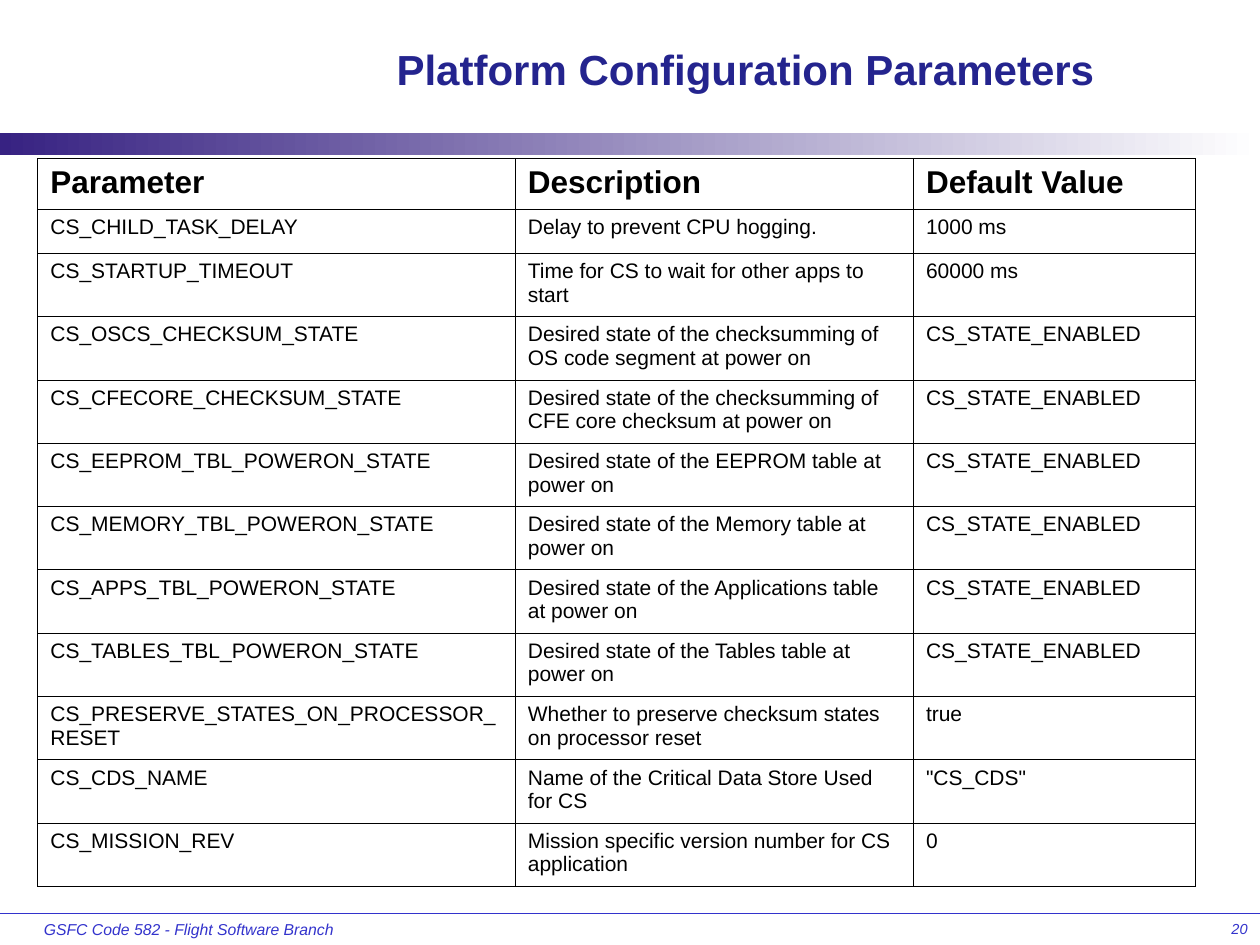
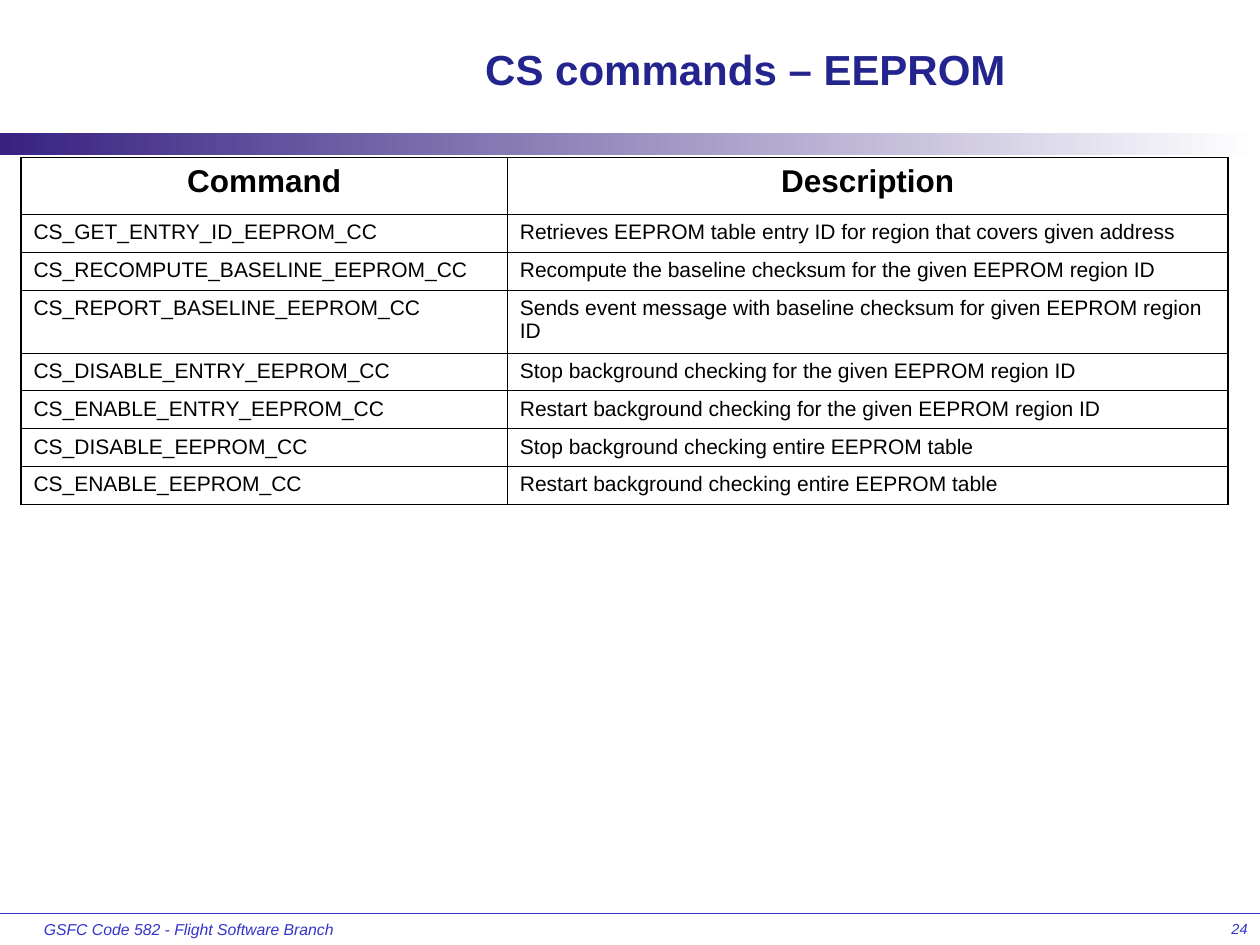
from dataclasses import dataclass

from lxml.etree import SubElement
from pptx import Presentation
from pptx.dml.color import RGBColor
from pptx.enum.shapes import MSO_CONNECTOR as Line, MSO_SHAPE as Shape
from pptx.enum.text import MSO_ANCHOR as Anchor, PP_ALIGN as Align
from pptx.oxml.ns import qn
from pptx.util import Inches, Pt

GRID = Inches(1) // 12


@dataclass(frozen=True)
class Theme:
    """Colours, font, type sizes and line widths of the deck."""
    font: str = "Arial"
    title: str = "24248E"
    accent: str = "3333CC"
    band: str = "372282"
    paper: str = "FFFFFF"
    ink: str = "000000"
    title_size: float = 24
    head_size: float = 18
    body_size: float = 12
    footer_size: float = 9
    number_size: float = 8.3
    thin: float = 0.45
    thick: float = 1.08


@dataclass(frozen=True)
class Box:
    """A region measured in columns and rows of the slide grid."""
    x: float
    y: float
    w: float
    h: float

    def sub(self, x, y, w, h):
        """Return a region placed relative to this one."""
        return Box(self.x + x, self.y + y, w, h)

    def emu(self):
        """Return left, top, width and height as lengths."""
        return [round(v * GRID) for v in (self.x, self.y, self.w, self.h)]


THEME = Theme()
PAGE = Box(0, 0, 120, 90)
HEADER = Box(0, 0, 120, 14.76)
FOOTER = Box(0, 87, 120, 3)

ENABLED = "CS_STATE_ENABLED"
PARAMETERS = [
    ("Parameter", "Description", "Default Value"),
    ("CS_CHILD_TASK_DELAY", "Delay to prevent CPU hogging.", "1000 ms"),
    ("CS_STARTUP_TIMEOUT", "Time for CS to wait for other apps to start", "60000 ms"),
    ("CS_OSCS_CHECKSUM_STATE",
     "Desired state of the checksumming of OS code segment at power on", ENABLED),
    ("CS_CFECORE_CHECKSUM_STATE",
     "Desired state of the checksumming of CFE core checksum at power on", ENABLED),
    *((f"CS_{name.upper()}_TBL_POWERON_STATE",
       f"Desired state of the {label} table at power on", ENABLED)
      for name, label in (("EEPROM", "EEPROM"), ("Memory", "Memory"),
                          ("Apps", "Applications"), ("Tables", "Tables"))),
    ("CS_PRESERVE_STATES_ON_PROCESSOR_RESET",
     "Whether to preserve checksum states on processor reset", "true"),
    ("CS_CDS_NAME", "Name of the Critical Data Store Used for CS", '"CS_CDS"'),
    ("CS_MISSION_REV", "Mission specific version number for CS application", "0"),
]
COMMANDS = [
    ("Command", "Description"),
    ("CS_GET_ENTRY_ID_EEPROM_CC",
     "Retrieves EEPROM table entry ID for region that covers given address"),
    ("CS_RECOMPUTE_BASELINE_EEPROM_CC",
     "Recompute the baseline checksum for the given EEPROM region ID"),
    ("CS_REPORT_BASELINE_EEPROM_CC",
     "Sends event message with baseline checksum for given EEPROM region ID"),
    ("CS_DISABLE_ENTRY_EEPROM_CC",
     "Stop background checking for the given EEPROM region ID"),
    ("CS_ENABLE_ENTRY_EEPROM_CC",
     "Restart background checking for the given EEPROM region ID"),
    ("CS_DISABLE_EEPROM_CC", "Stop background checking entire EEPROM table"),
    ("CS_ENABLE_EEPROM_CC", "Restart background checking entire EEPROM table"),
]


def rgb(value):
    """Turn a hex string into a colour."""
    return RGBColor.from_string(value)


def write(tf, text, size, color, align=Align.LEFT, bold=False, italic=False):
    """Write one formatted run into the first paragraph of a text frame."""
    tf.word_wrap = True
    p = tf.paragraphs[0]
    p.alignment = align
    p.space_before = Pt(0)
    r = p.add_run()
    r.text = text
    font = r.font
    font.name, font.size, font.bold, font.italic = THEME.font, Pt(size), bold, italic
    font.color.rgb = rgb(color)


def add_header(s, box, title):
    """Place the gradient band and the title."""
    band = s.shapes.add_shape(Shape.RECTANGLE, *box.sub(0, 12.72, box.w, 2.04).emu())
    band.shadow.inherit = False
    band.line.fill.background()
    band.fill.gradient()
    band.fill.gradient_angle = 0
    for stop, color in zip(band.fill.gradient_stops, (THEME.band, THEME.paper)):
        stop.color.rgb = rgb(color)
    sp = s.shapes.title
    sp.left, sp.top, sp.width, sp.height = box.sub(25, 2, 92, 9.12).emu()
    sp.text_frame.vertical_anchor = Anchor.MIDDLE
    write(sp.text_frame, title, THEME.title_size, THEME.title, Align.CENTER, bold=True)


def add_footer(s, box, number):
    """Place the rule, the branch name and the slide number."""
    x, y, w, _ = box.emu()
    rule = s.shapes.add_connector(Line.STRAIGHT, x, y, x + w, y)
    rule.line.color.rgb = rgb(THEME.accent)
    rule.line.width = Pt(0.75)
    SubElement(rule._element.spPr, qn("a:effectLst"))
    for area, text, size, align in (
        (box.sub(3, 0, 30, box.h), "GSFC Code 582 - Flight Software Branch",
         THEME.footer_size, Align.LEFT),
        (box.sub(95, 0, 25, box.h), str(number), THEME.number_size, Align.RIGHT),
    ):
        tf = s.shapes.add_textbox(*area.emu()).text_frame
        if align == Align.LEFT:
            tf.margin_right = 0
        write(tf, text, size, THEME.accent, align, italic=True)


def set_borders(cell, widths):
    """Draw the left, right, top and bottom borders of a cell."""
    tc_pr = cell._tc.get_or_add_tcPr()
    for side, width in zip("LRTB", widths):
        ln = SubElement(tc_pr, qn(f"a:ln{side}"), w=str(Pt(width)))
        fill = SubElement(ln, qn("a:solidFill"))
        SubElement(fill, qn("a:srgbClr"), val=THEME.ink)


def add_grid(s, box, rows, cols, heights, head_align, edge):
    """Place a ruled table with a bold heading row and the given edge width."""
    last = len(cols) - 1
    table = s.shapes.add_table(len(rows), len(cols), *box.emu()).table
    table.first_row = table.horz_banding = False
    for column, width in zip(table.columns, cols):
        column.width = round(width * GRID)
    for i, (row, height) in enumerate(zip(rows, heights)):
        table.rows[i].height = round(height * GRID)
        head = i == 0
        for j, text in enumerate(row):
            cell = table.cell(i, j)
            outer = (j == 0, j == last, head, False)
            set_borders(cell, [edge if o else THEME.thin for o in outer])
            cell.fill.background()
            write(cell.text_frame, text, THEME.head_size if head else THEME.body_size,
                  THEME.ink, head_align if head else Align.LEFT, bold=head)


def add_table_slide(prs, number, title, x, y, rows, cols, heights,
                    head_align=Align.LEFT, edge=THEME.thin):
    """Build one slide with header, footer and a table."""
    s = prs.slides.add_slide(prs.slide_layouts[5])
    s.background.fill.solid()
    s.background.fill.fore_color.rgb = rgb(THEME.paper)
    add_footer(s, FOOTER, number)
    add_header(s, HEADER, title)
    add_grid(s, PAGE.sub(x, y, sum(cols), sum(heights)), rows, cols, heights,
             head_align, edge)


def main():
    """Build and save the deck."""
    prs = Presentation()
    prs.slide_width, prs.slide_height = PAGE.emu()[2:]
    add_table_slide(prs, 20, "Platform Configuration Parameters", 3.6, 15.12,
                    PARAMETERS, [45.48, 37.92, 26.88], [4.8, 4.2] + [6.03] * 10)
    add_table_slide(prs, 24, "CS commands – EEPROM", 2, 15,
                    COMMANDS, [46.32, 68.64], [5.4, 3.6, 3.6, 6] + [3.6] * 4,
                    Align.CENTER, THEME.thick)
    prs.save("out.pptx")


if __name__ == "__main__":
    main()
